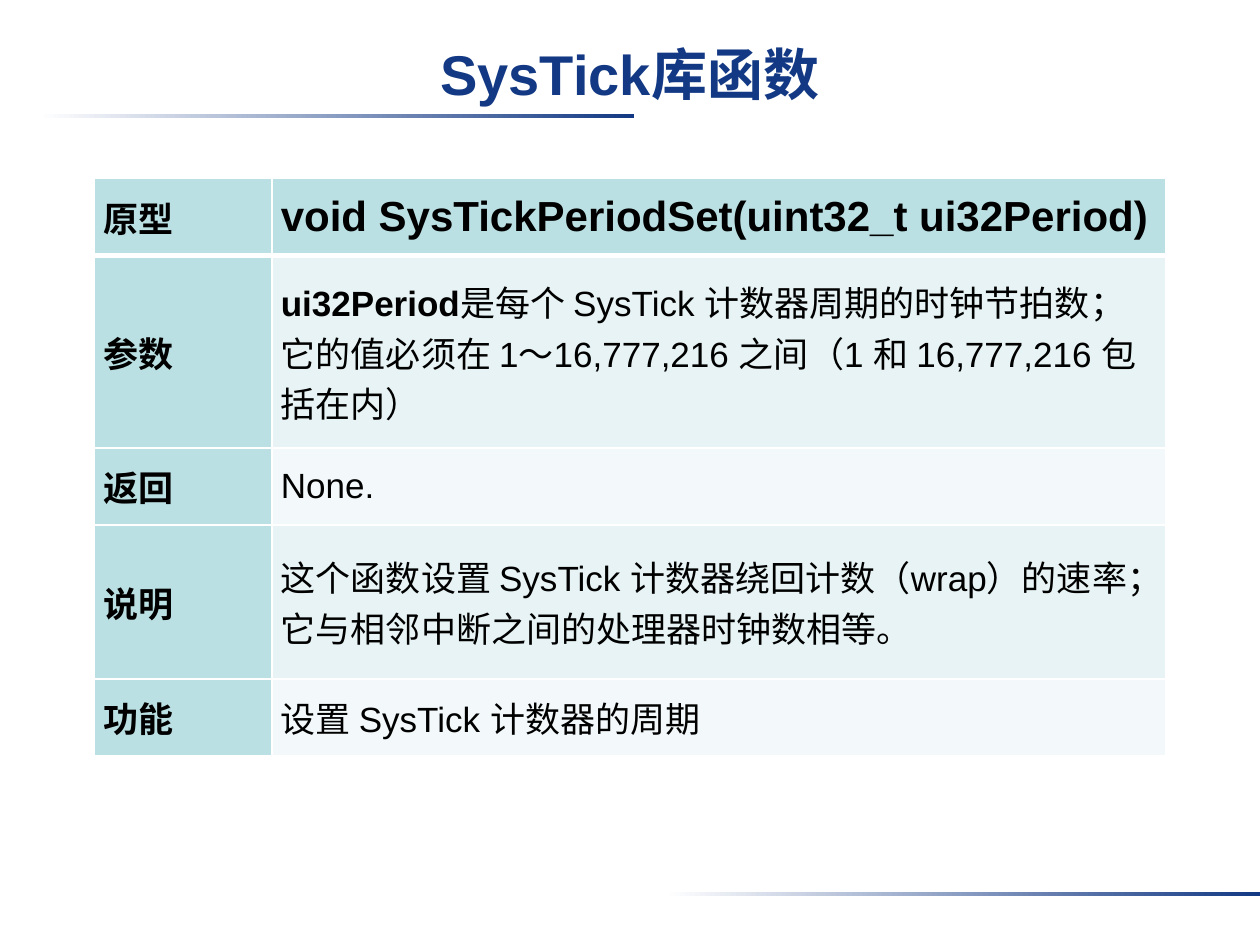
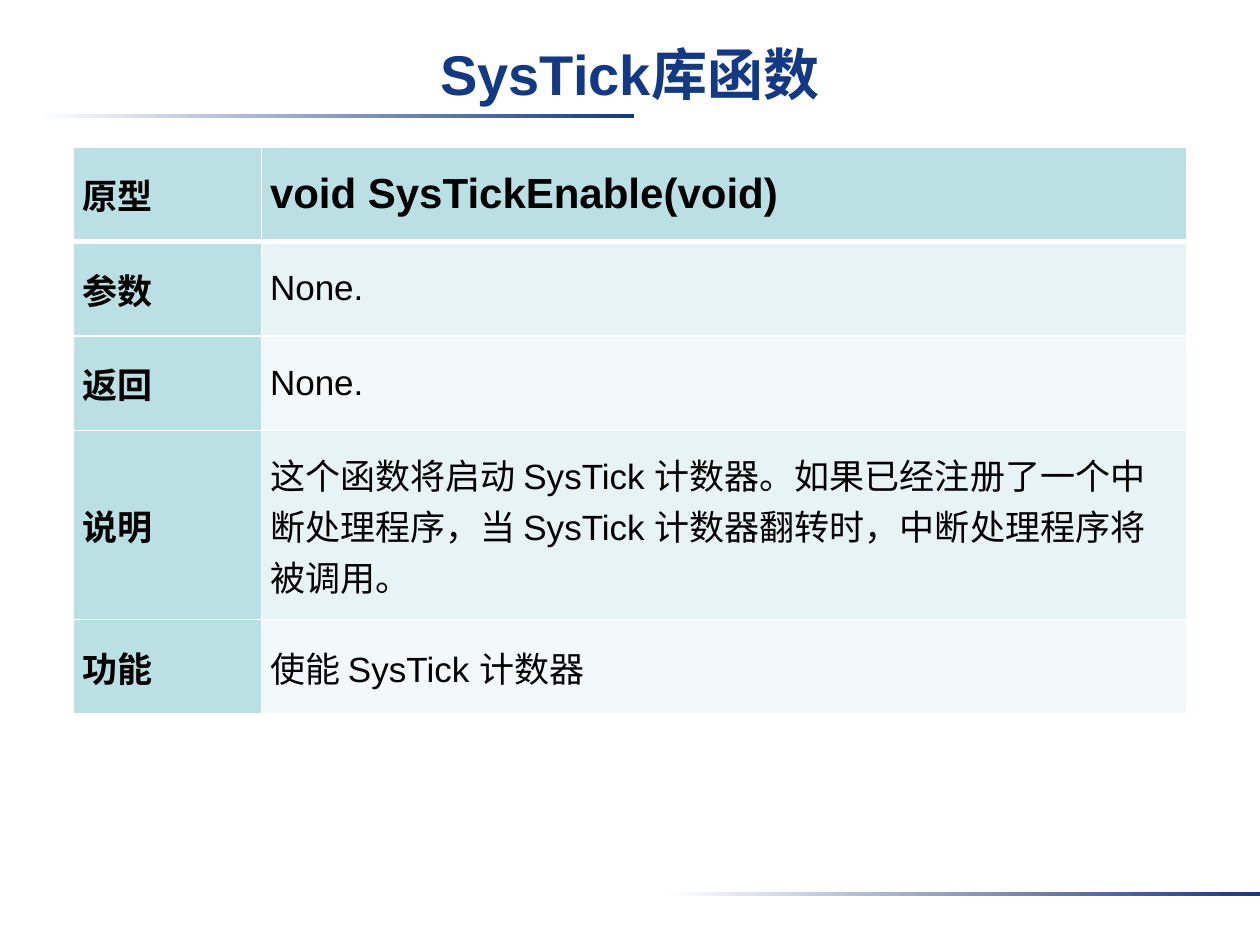
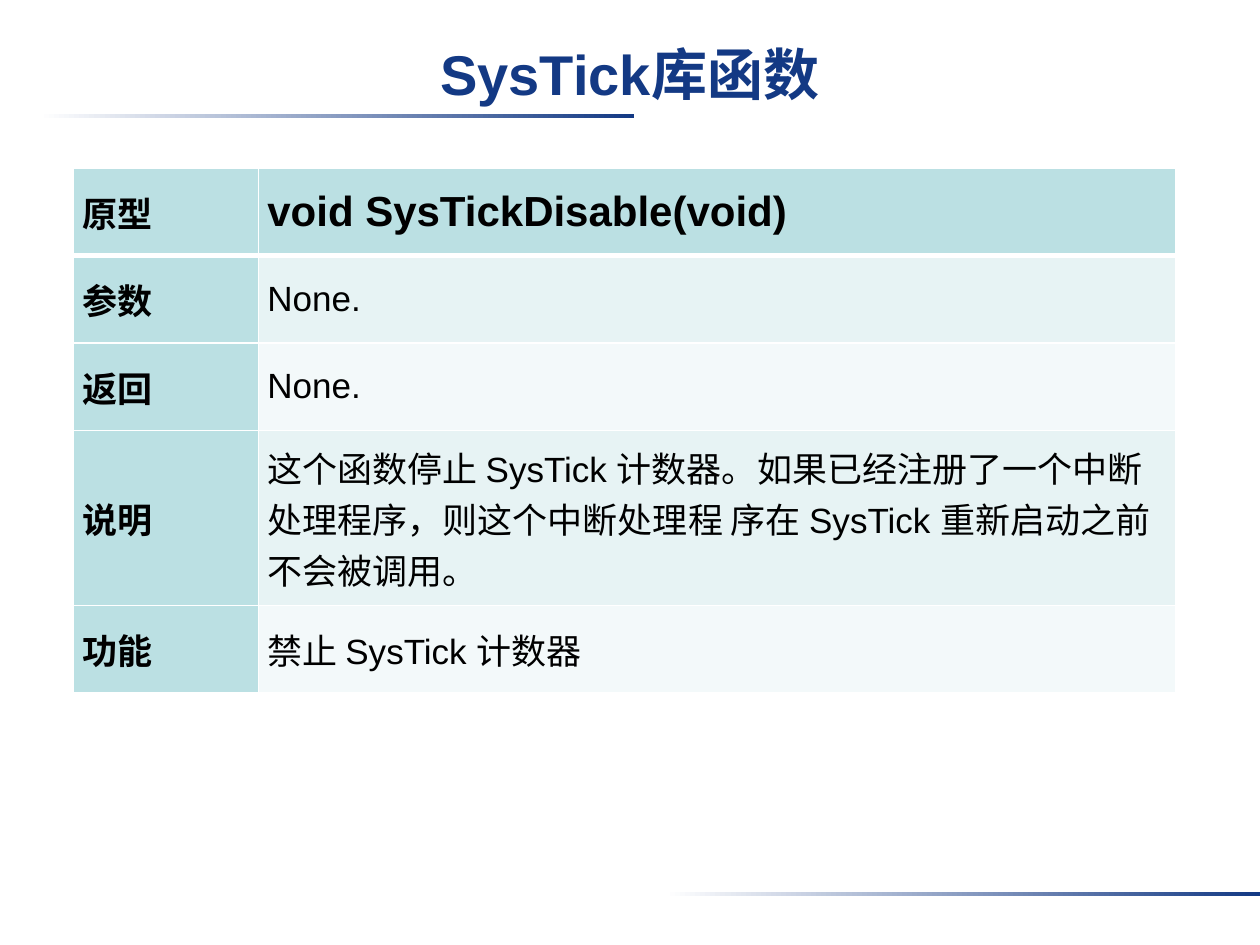
from lxml.etree import SubElement
from pptx import Presentation
from pptx.dml.color import RGBColor as RGB
from pptx.enum.shapes import MSO_SHAPE as SHAPE
from pptx.enum.text import MSO_ANCHOR as ANCHOR, MSO_AUTO_SIZE as FIT, PP_ALIGN as ALIGN
from pptx.oxml import parse_xml
from pptx.oxml.ns import nsdecls, qn
from pptx.util import Pt

COLORS = {"navy": "133984", "white": "FFFFFF", "black": "000000",
          "head": "BBE0E3", "odd": "E7F3F4", "even": "F3F9FA"}
FONT = "Arial"
TITLE = "SysTick库函数"
LABELS = ["原型", "参数", "返回", "说明", "功能"]
TITLE_ONLY = 5


class Deck:
    """Holds the style and the current slide."""

    def __init__(self):
        self.prs = Presentation()
        self.prs.slide_width, self.prs.slide_height = Pt(720), Pt(540)
        self.layout = self.prs.slide_layouts[TITLE_ONLY]
        self.slide = None

    def color(self, name):
        return RGB.from_string(COLORS[name])

    def add_slide(self, title):
        first = self.slide is None
        self.slide = self.prs.slides.add_slide(self.layout)
        if first:
            self.master_rule(22.3, 65.4)
            self.master_rule(380, 509.6)
        self.title(title)

    def master_rule(self, left, top):
        """Draw a fading rule and hand it to the master, behind everything."""
        s = self.slide.shapes.add_shape(SHAPE.RECTANGLE, Pt(left), Pt(top), Pt(340), Pt(2.2))
        s.shadow.inherit = False
        s.line.fill.background()
        s.fill.gradient()
        s.fill.gradient_angle = 0
        for stop, name in zip(s.fill.gradient_stops, ("white", "navy")):
            stop.color.rgb = self.color(name)
        self.prs.slide_master.shapes.element.insert(2, s.element)

    def style(self, r, size, bold, color="black"):
        r.font.name, r.font.size, r.font.bold = FONT, Pt(size), bold
        r.font.color.rgb = self.color(color)

    def title(self, text):
        s = self.slide.shapes.title
        s.left, s.top, s.width, s.height = Pt(0), Pt(14.4), Pt(720), Pt(54)
        tf = s.text_frame
        tf.text = text
        tf.auto_size = FIT.NONE
        tf.vertical_anchor = ANCHOR.MIDDLE
        tf.margin_top, tf.margin_bottom = Pt(4.3), Pt(3.6)
        p = tf.paragraphs[0]
        p.alignment = ALIGN.CENTER
        self.style(p.runs[0], 32, True, "navy")

    def borders(self, cell, top, bottom):
        """White cell borders; they come before the fill in tcPr."""
        tc_pr = cell._tc.get_or_add_tcPr()
        sides = {"lnL": 1, "lnR": 1, "lnT": top, "lnB": bottom}
        for i, (tag, width) in enumerate(sides.items()):
            ln = parse_xml(f'<a:{tag} {nsdecls("a")} w="{Pt(width)}"/>')
            fill = SubElement(ln, qn("a:solidFill"))
            SubElement(fill, qn("a:srgbClr"), val=COLORS["white"])
            tc_pr.insert(i, ln)

    def cell(self, cell, text, size, fill, align):
        """Text before a bar is bold."""
        cell.fill.solid()
        cell.fill.fore_color.rgb = self.color(fill)
        cell.vertical_anchor = ANCHOR.MIDDLE
        cell.margin_left = cell.margin_right = Pt(5)
        cell.margin_top = cell.margin_bottom = Pt(0)
        p = cell.text_frame.paragraphs[0]
        p.alignment = align
        lead, _, rest = text.rpartition("|")
        for part, bold in ((lead, True), (rest, False)):
            if part:
                r = p.add_run()
                r.text = part
                self.style(r, size, bold)

    def function_table(self, left, top, width, label_width, unit, spans, values):
        """Row heights are multiples (spans) of one unit."""
        table = self.slide.shapes.add_table(len(spans), 2, Pt(left), Pt(top), Pt(width),
                                            Pt(unit * sum(spans))).table
        table.columns[0].width = Pt(label_width)
        table.columns[1].width = Pt(width - label_width)
        for i, (label, value, span) in enumerate(zip(LABELS, values, spans)):
            table.rows[i].height = Pt(unit * span)
            fill = "head" if i == 0 else "odd" if i % 2 else "even"
            align = ALIGN.LEFT if i % 2 else ALIGN.JUSTIFY
            self.cell(table.cell(i, 0), label + "|", 20, "head", ALIGN.JUSTIFY)
            self.cell(table.cell(i, 1), value, 20 if i else 24, fill, align)
            for c in table.rows[i].cells:
                self.borders(c, 3 if i == 1 else 1, 3 if i == 0 else 1)


deck = Deck()

# Set the period
deck.add_slide(TITLE)
deck.function_table(54, 102, 612, 101.5, 44, [1, 2.5, 1, 2, 1], [
    "void SysTickPeriodSet(uint32_t ui32Period)|",
    "ui32Period|是每个 SysTick 计数器周期的时钟节拍数；它的值必须在 1～16,777,216 之间（1 和 "
    "16,777,216 包括在内）",
    "None.",
    "这个函数设置 SysTick 计数器绕回计数（wrap）的速率；它与相邻中断之间的处理器时钟数相等。",
    "设置 SysTick 计数器的周期"])

# Enable the counter
deck.add_slide(TITLE)
deck.function_table(42, 84, 636, 107.3, 54, [1, 1, 1, 2, 1], [
    "void SysTickEnable(void)|",
    "None.",
    "None.",
    "这个函数将启动 SysTick 计数器。如果已经注册了一个中断处理程序，当 SysTick 计数器翻转时，"
    "中断处理程序将被调用。",
    "使能 SysTick 计数器"])

# Disable the counter
deck.add_slide(TITLE)
deck.function_table(42, 96, 630, 105.8, 50, [1, 1, 1, 2, 1], [
    "void SysTickDisable(void)|",
    "None.",
    "None.",
    "这个函数停止 SysTick 计数器。如果已经注册了一个中断处理程序，则这个中断处理程 序在 SysTick "
    "重新启动之前不会被调用。",
    "禁止 SysTick 计数器"])

deck.prs.save("out.pptx")
